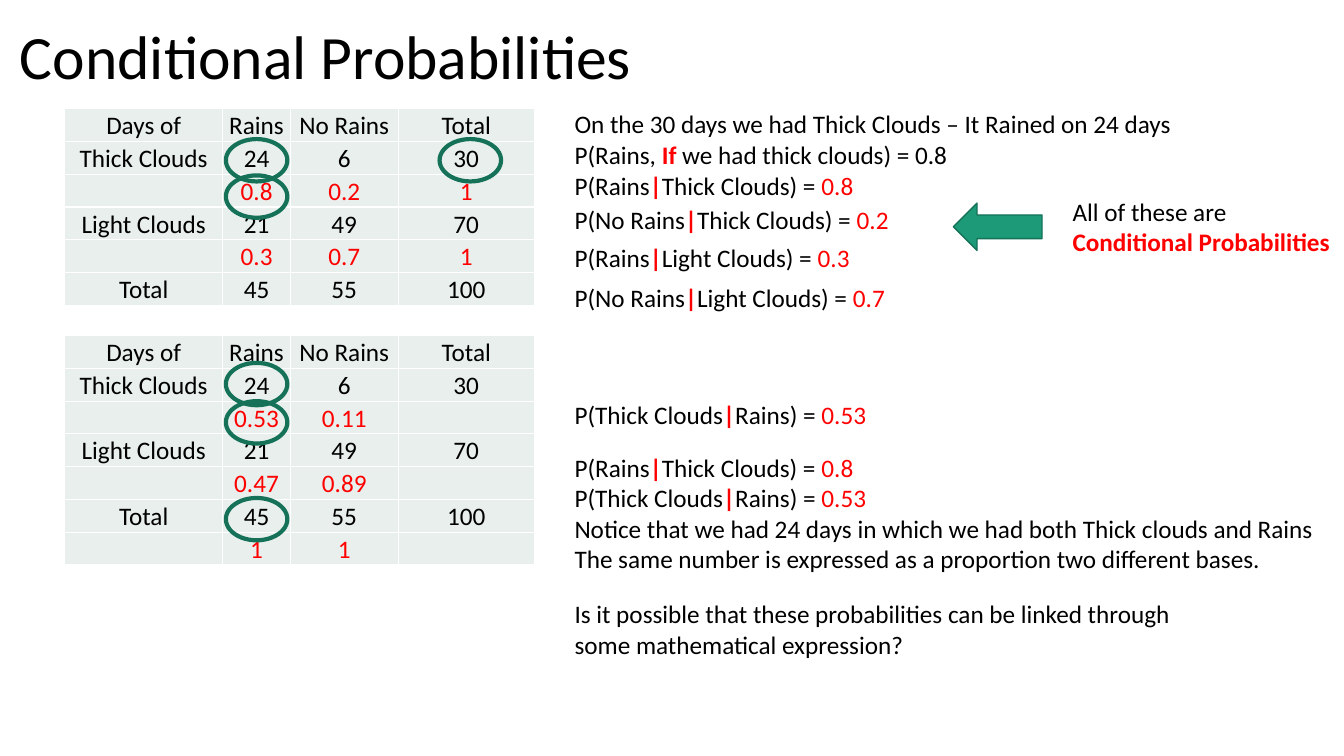
from lxml import etree
from pptx import Presentation, util as u
from pptx.dml.color import RGBColor
from pptx.enum import shapes, text
from pptx.oxml.ns import qn

HUES = {"ink": "000000", "red": "FF0000", "cell": "E8EFEC",
        "white": "FFFFFF", "green": "1D9A78", "dark": "157259"}


def hue(name):
    return RGBColor.from_string(HUES[name])


class Deck:
    font = "Calibri"
    size = 18

    def __init__(self):
        self.prs = Presentation()
        self.prs.slide_width = u.Inches(13.33)
        self.prs.slide_height = u.Inches(7.5)
        self.slide = self.prs.slides.add_slide(self.prs.slide_layouts[6])

    def run(self, para, words, tone="ink", bold=False, size=None):
        run = para.add_run()
        run.text = words
        run.font.name = self.font
        run.font.size = u.Pt(size or self.size)
        run.font.bold = bold
        run.font.color.rgb = hue(tone)

    def text(self, box, lines, size=None, wrap=True):
        frame = self.slide.shapes.add_textbox(*map(u.Inches, box)).text_frame
        frame.word_wrap = wrap
        for i, line in enumerate(lines):
            para = frame.add_paragraph() if i else frame.paragraphs[0]
            for part in line:
                self.run(para, *part, size=size)
        return frame

    def title(self, box, words):
        frame = self.text(box, [[(words,)]], size=44)
        frame.vertical_anchor = text.MSO_ANCHOR.MIDDLE
        frame.paragraphs[0].line_spacing = 0.9

    def shape(self, kind, box, width, fill=None):
        shape = self.slide.shapes.add_shape(kind, *map(u.Inches, box))
        shape.shadow.inherit = False
        if fill:
            shape.fill.solid()
            shape.fill.fore_color.rgb = hue(fill)
        else:
            shape.fill.background()
        shape.line.color.rgb = hue("dark")
        shape.line.width = u.Pt(width)
        return shape

    def ring(self, left, top):
        self.shape(shapes.MSO_SHAPE.OVAL, (left, top, 0.61, 0.42), 3)

    def arrow(self, box):
        arrow = self.shape(shapes.MSO_SHAPE.UP_ARROW, box, 1, "green")
        arrow.rotation = 270

    def cell(self, cell, words, tone):
        cell.margin_left = cell.margin_right = cell.margin_top = u.Inches(0.01)
        cell.margin_bottom = 0
        cell.vertical_anchor = text.MSO_ANCHOR.BOTTOM
        props = cell._tc.get_or_add_tcPr()
        for side in ("lnL", "lnR", "lnT", "lnB"):
            line = etree.SubElement(props, qn("a:" + side), w=str(u.Pt(1)))
            fill = etree.SubElement(line, qn("a:solidFill"))
            etree.SubElement(fill, qn("a:srgbClr"), val=HUES["white"])
        cell.fill.solid()
        cell.fill.fore_color.rgb = hue("cell")
        para = cell.text_frame.paragraphs[0]
        para.alignment = text.PP_ALIGN.CENTER
        if words:
            self.run(para, words, tone)

    def table(self, top, rows, high=0.325):
        wide = (1.57, 0.67, 1.07, 1.35)
        box = (0.64, top, sum(wide), high * len(rows))
        table = self.slide.shapes.add_table(
            len(rows), len(wide), *map(u.Inches, box)).table
        table.first_row = table.horz_banding = False
        for col, width in zip(table.columns, wide):
            col.width = u.Inches(width)
        for r, row in enumerate(rows):
            table.rows[r].height = u.Inches(high)
            tone = "ink" if row[0] else "red"
            for c, words in enumerate(row):
                self.cell(table.cell(r, c), words, tone)


def given(event, base, value):
    return [(f"P({event}",), ("|", "red", True),
            (f"{base}) = ",), (value, "red")]


def main():
    deck = Deck()
    deck.title((0.1, 0.11, 11.5, 0.97), "Conditional Probabilities")

    head = ("Days of", "Rains", "No Rains", "Total")
    thick = ("Thick Clouds", "24", "6", "30")
    light = ("Light Clouds", "21", "49", "70")
    total = ("Total", "45", "55", "100")
    deck.table(1.08, [head, thick, ("", "0.8", "0.2", "1"),
                      light, ("", "0.3", "0.7", "1"), total])
    deck.table(3.33, [head, thick, ("", "0.53", "0.11", ""),
                      light, ("", "0.47", "0.89", ""),
                      total, ("", "1", "1", "")])

    left = 5.6
    deck.text((left, 1.03, 7.07, 0.71), [
        [("On the 30 days we had Thick Clouds – It Rained on 24 days",)],
        [("P(Rains, ",), ("If ", "red", True),
         ("we had thick clouds) = 0.8",)]])
    for top, event, base, value in (
            (1.64, "Rains", "Thick Clouds", "0.8"),
            (1.98, "No Rains", "Thick Clouds", "0.2"),
            (2.35, "Rains", "Light Clouds", "0.3"),
            (2.75, "No Rains", "Light Clouds", "0.7")):
        deck.text((left, top, 4.2, 0.4), [given(event, base, value)])

    deck.arrow((9.66, 1.81, 0.47, 0.88))
    deck.text((10.54, 1.9, 2.8, 0.71), [
        [("All of these are",)],
        [("Conditional Probabilities", "red", True)]])

    back = given("Thick Clouds", "Rains", "0.53")
    deck.text((left, 3.91, 3.12, 0.4), [back], wrap=False)
    for top in (1.38, 1.74, 3.6, 3.98, 4.94):
        deck.ring(2.24, top)
    deck.ring(4.36, 1.38)

    deck.text((left, 4.44, 7.6, 1.31), [
        given("Rains", "Thick Clouds", "0.8"),
        back,
        [("Notice that we had 24 days in which we had both "
          "Thick clouds and Rains",)],
        [("The same number is expressed as a proportion "
          "two different bases.",)]])
    deck.text((left, 5.89, 6.39, 0.71), [
        [("Is it possible that these probabilities can be linked "
          "through some mathematical expression?",)]])
    deck.prs.save("out.pptx")


if __name__ == "__main__":
    main()
